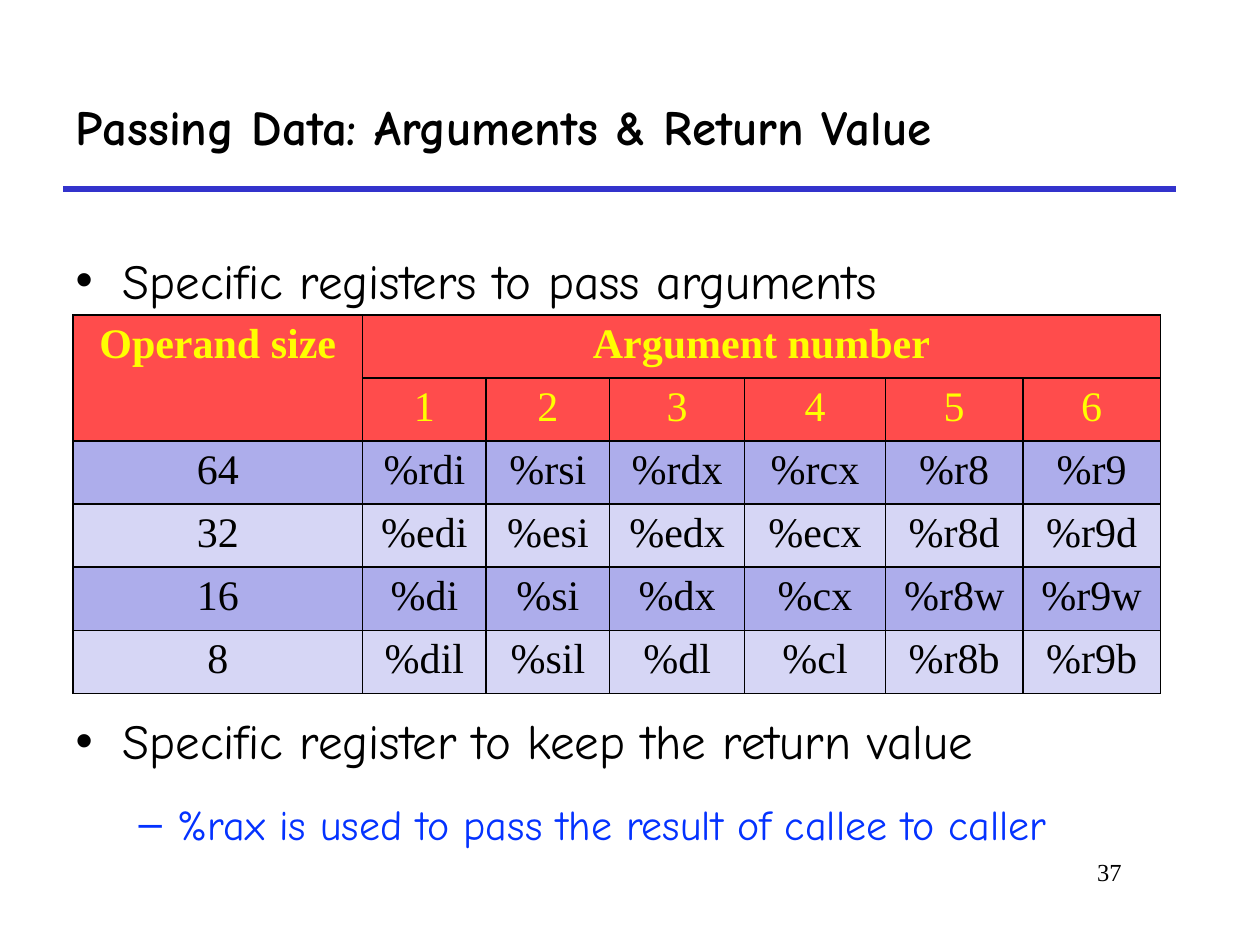
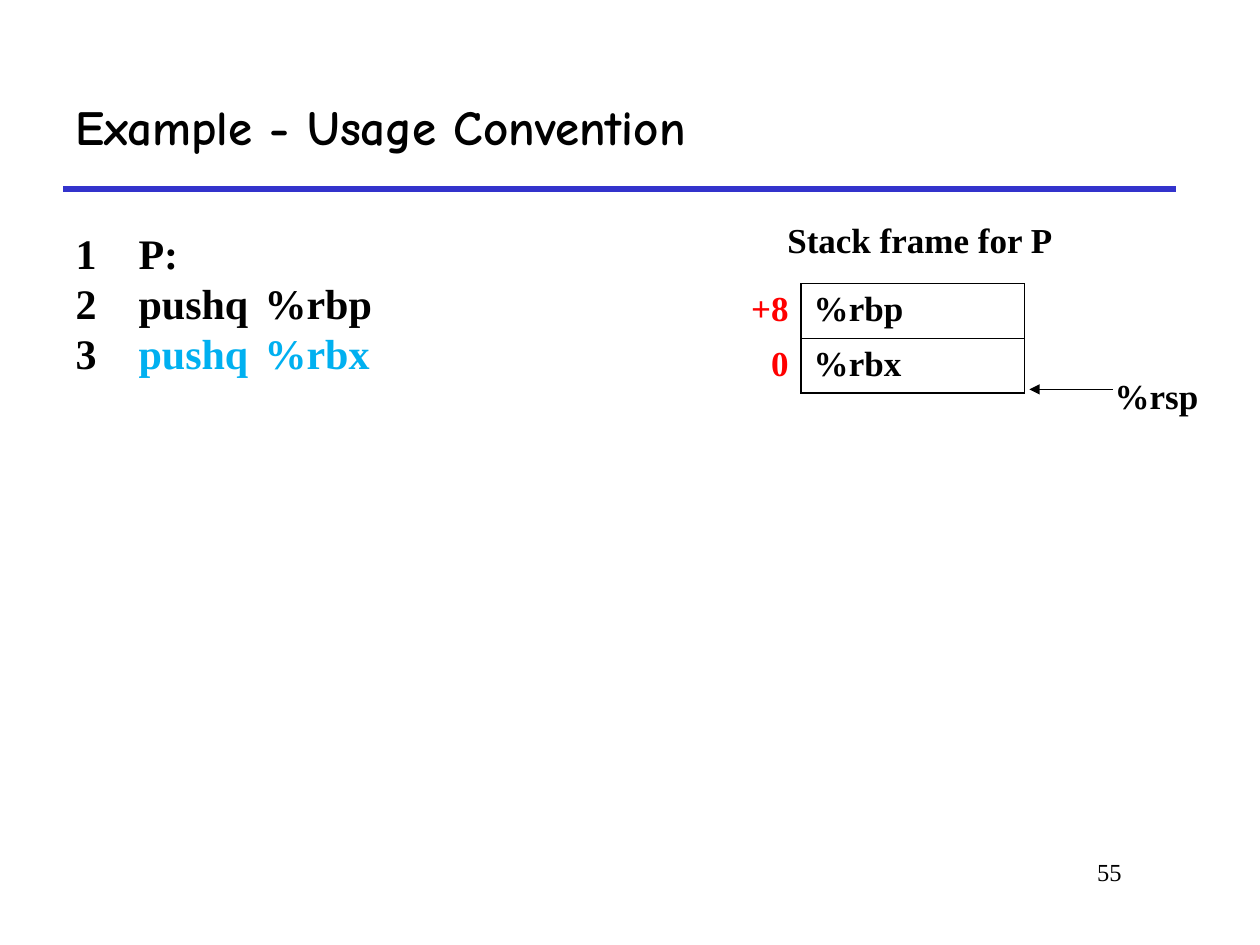
from dataclasses import dataclass

from lxml import etree
from pptx import Presentation
from pptx import util as u
from pptx.dml.color import RGBColor
from pptx.enum import shapes, text
from pptx.oxml import ns

COLORS = {
    "black": "000000", "rule": "3333CC", "blue": "0432FF", "cyan": "00B0F0",
    "red": "FF0000", "yellow": "FFFF00", "band": "ADADEB", "light": "D6D6F5",
}
HEAD_FONT = "Comic Neue"
TEXT_FONT = "Times New Roman"
LEFT, CENTER, RIGHT = text.PP_ALIGN.LEFT, text.PP_ALIGN.CENTER, text.PP_ALIGN.RIGHT


@dataclass
class Box:
    x: float
    y: float
    w: float
    h: float

    def cm(self):
        return [u.Cm(v) for v in (self.x, self.y, self.w, self.h)]


@dataclass
class Style:
    size: float
    color: str = "black"
    bold: bool = False
    font: str = TEXT_FONT


@dataclass
class Bullet:
    words: str
    char: str
    level: int
    margin: float
    hang: float
    before: float
    style: Style


@dataclass
class CodeLine:
    number: str
    code: str
    tabs: tuple
    color: str = "black"


@dataclass
class Register:
    offset: str
    name: str


TITLE = Style(28, bold=True, font=HEAD_FONT)
ITEM = Style(28, font=HEAD_FONT)
SUBITEM = Style(24, "blue", font=HEAD_FONT)
LABEL = Style(20, bold=True)

BULLETS = [
    Bullet("Specific registers to pass arguments", "•", 0, 0.95, 0.95, 0, ITEM),
    Bullet("Specific register to keep the return value", "•", 0, 0.95, 0.95, 216, ITEM),
    Bullet("%rax is used to pass the result of callee to caller", "–", 1, 2.06, 0.79, 4.8, SUBITEM),
]
ARGUMENT_COLS = [5.84, 2.49, 2.49, 2.72, 2.84, 2.77, 2.77]
ARGUMENT_ROWS = [
    ["Operand size", "Argument number", "", "", "", "", ""],
    ["", "1", "2", "3", "4", "5", "6"],
    ["64", "%rdi", "%rsi", "%rdx", "%rcx", "%r8", "%r9"],
    ["32", "%edi", "%esi", "%edx", "%ecx", "%r8d", "%r9d"],
    ["16", "%di", "%si", "%dx", "%cx", "%r8w", "%r9w"],
    ["8", "%dil", "%sil", "%dl", "%cl", "%r8b", "%r9b"],
]
CODE = [
    CodeLine("1", "P:", (1.47,)),
    CodeLine("2", "pushq\t%rbp", (2.54, 5.08)),
    CodeLine("3", "pushq\t%rbx", (2.54, 5.08), "cyan"),
]
FRAME = [Register("+8", "%rbp"), Register("0", "%rbx")]


def rgb(name: str) -> RGBColor:
    return RGBColor.from_string(COLORS[name])


def sub(parent, tag: str, **attrs):
    return etree.SubElement(parent, ns.qn(tag), {k: str(v) for k, v in attrs.items()})


def add_run(p, words: str, style: Style) -> None:
    r = p.add_run()
    r.text = words
    r.font.name = style.font
    r.font.size = u.Pt(style.size)
    r.font.bold = style.bold
    r.font.color.rgb = rgb(style.color)


def add_label(slide, box: Box, words: str, style: Style, align=LEFT, wrap: bool = True) -> None:
    tf = slide.shapes.add_textbox(*box.cm()).text_frame
    tf.word_wrap = wrap
    p = tf.paragraphs[0]
    p.alignment = align
    add_run(p, words, style)


def add_line(slide, x1: float, y1: float, x2: float, y2: float, color: str, width: float, arrow: bool = False) -> None:
    sp = slide.shapes.add_connector(
        shapes.MSO_CONNECTOR.STRAIGHT, u.Cm(x1), u.Cm(y1), u.Cm(x2), u.Cm(y2))
    sp.line.color.rgb = rgb(color)
    sp.line.width = u.Pt(width)
    if arrow:
        sub(sp.line._get_or_add_ln(), "a:tailEnd", type="triangle")
    sub(sp._element.spPr, "a:effectLst")


def place(sp, box: Box):
    sp.left, sp.top, sp.width, sp.height = box.cm()
    sp.text_frame.auto_size = text.MSO_AUTO_SIZE.NONE
    sp.text_frame.word_wrap = True
    return sp.text_frame


def add_page(prs, title: str, number: str):
    slide = prs.slides.add_slide(prs.slide_layouts[1])
    tf = place(slide.shapes.title, Box(1.27, 1.27, 22.43, 2.54))
    tf.vertical_anchor = text.MSO_ANCHOR.MIDDLE
    p = tf.paragraphs[0]
    p.alignment = LEFT
    add_run(p, title, TITLE)
    add_line(slide, 1.27, 3.81, 23.7, 3.81, "rule", 3)
    add_label(slide, Box(19.25, 17.15, 3.61, 1.27), number, Style(14), RIGHT)
    return slide


def paragraphs(tf, items):
    for i, item in enumerate(items):
        yield (tf.add_paragraph() if i else tf.paragraphs[0]), item


def set_indent(p, margin: float, hang: float):
    pPr = p._p.get_or_add_pPr()
    pPr.set("marL", str(u.Cm(margin)))
    pPr.set("indent", str(-u.Cm(hang)))
    return pPr


def fill_bullets(tf, bullets: list) -> None:
    for p, b in paragraphs(tf, bullets):
        pPr = set_indent(p, b.margin, b.hang)
        sub(pPr, "a:buChar", char=b.char)
        p.level = b.level
        p.line_spacing = 1.4
        p.space_before = u.Pt(b.before)
        add_run(p, b.words, b.style)


def fill_code(tf, lines: list) -> None:
    for p, line in paragraphs(tf, lines):
        pPr = set_indent(p, 0, 0)
        sub(pPr, "a:buNone")
        stops = sub(pPr, "a:tabLst")
        for pos in line.tabs:
            sub(stops, "a:tab", pos=u.Cm(pos), algn="l")
        p.line_spacing = u.Pt(28.8)
        p.space_before = u.Pt(0)
        add_run(p, line.number + "\t", Style(24, bold=True))
        add_run(p, line.code, Style(24, line.color, True))


def add_grid(slide, x: float, y: float, cols: list, row_h: float, rows: int):
    box = Box(x, y, sum(cols), row_h * rows)
    tbl = slide.shapes.add_table(rows, len(cols), *box.cm()).table
    tbl.first_row = tbl.horz_banding = False
    for col, w in zip(tbl.columns, cols):
        col.width = u.Cm(w)
    for row in tbl.rows:
        row.height = u.Cm(row_h)
    return tbl


def format_cell(cell, words: str, style: Style, align, fill: str = "", alpha: int = 100, edges: str = "LRTB") -> None:
    if fill:
        cell.fill.solid()
        cell.fill.fore_color.rgb = rgb(fill)
    else:
        cell.fill.background()
    tcPr = cell._tc.get_or_add_tcPr()
    if alpha < 100:
        sub(tcPr.find(".//" + ns.qn("a:srgbClr")), "a:alpha", val=alpha * 1000)
    for i, side in enumerate("LRTB"):
        ln = sub(tcPr, "a:ln" + side, w=u.Pt(1))
        if side in edges:
            sub(sub(ln, "a:solidFill"), "a:srgbClr", val=COLORS["black"])
        else:
            sub(ln, "a:noFill")
        tcPr.insert(i, ln)
    if words:
        p = cell.text_frame.paragraphs[0]
        p.alignment = align
        add_run(p, words, style)


def add_argument_table(slide) -> None:
    tbl = add_grid(slide, 1.47, 6.35, ARGUMENT_COLS, 1.27, len(ARGUMENT_ROWS))
    for i, row in enumerate(ARGUMENT_ROWS):
        header = i < 2
        style = Style(24, "yellow" if header else "black", i == 0)
        fill = "red" if header else ("band", "light")[i % 2]
        for j, words in enumerate(row):
            format_cell(tbl.cell(i, j), words, style, CENTER, fill, 70 if header else 100)
    tbl.cell(0, 0).merge(tbl.cell(1, 0))
    tbl.cell(0, 1).merge(tbl.cell(0, len(ARGUMENT_COLS) - 1))


def add_stack_frame(slide) -> None:
    tbl = add_grid(slide, 14.6, 5.72, [1.55, 4.5], 1.1, len(FRAME))
    for i, reg in enumerate(FRAME):
        format_cell(tbl.cell(i, 0), reg.offset, Style(20, "red", True), RIGHT, edges="R")
        format_cell(tbl.cell(i, 1), reg.name, LABEL, LEFT)
    add_label(slide, Box(14.81, 4.29, 7.47, 1.09), "Stack frame for P", LABEL, CENTER)
    add_label(slide, Box(22.22, 7.42, 2.21, 1.12), "%rsp", LABEL, wrap=False)
    add_line(slide, 22.43, 7.85, 20.75, 7.85, "black", 0.75, arrow=True)


def main() -> None:
    prs = Presentation()
    prs.slide_width, prs.slide_height = u.Cm(25.4), u.Cm(19.05)

    slide = add_page(prs, "Passing Data: Arguments & Return Value", "37")
    fill_bullets(place(slide.placeholders[1], Box(1.27, 4.45, 22.66, 12.27)), BULLETS)
    add_argument_table(slide)

    slide = add_page(prs, "Example - Usage Convention", "55")
    fill_code(place(slide.placeholders[1], Box(1.27, 4.45, 22.02, 12.9)), CODE)
    add_stack_frame(slide)

    prs.save("out.pptx")


if __name__ == "__main__":
    main()
